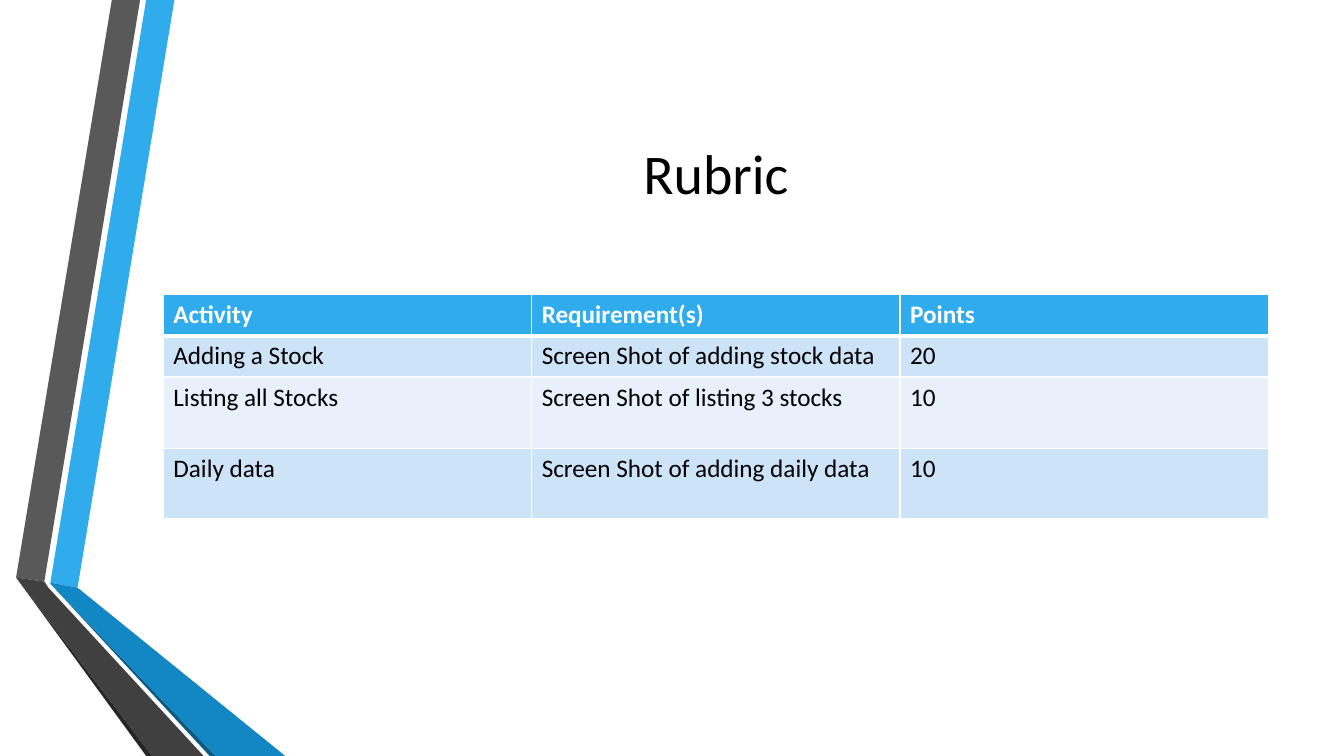
from lxml import etree
from pptx import Presentation
from pptx.dml.color import RGBColor
from pptx.enum.text import MSO_ANCHOR, PP_ALIGN
from pptx.oxml.ns import qn
from pptx.util import Inches, Pt

MIDDLE = MSO_ANCHOR.MIDDLE
LEFT, CENTER = PP_ALIGN.LEFT, PP_ALIGN.CENTER
TITLE_ONLY = 5

TITLE = "Rubric"
RUBRIC = [
    ("Activity", "Requirement(s)", "Points"),
    ("Adding a Stock", "Screen Shot of adding stock data", "20"),
    ("Listing all Stocks", "Screen Shot of listing 3 stocks", "10"),
    ("Daily data", "Screen Shot of adding daily data", "10"),
]
ROW_HEIGHTS = (0.41, 0.41, 0.71, 0.7)

THEME = {
    "font": "Calibri",
    "title_size": 40,
    "table_size": 18,
    "text": "000000",
    "header_text": "FFFFFF",
    "header_fill": "30ACEC",
    "bands": ("CDE3F8", "E8F1FB"),
    "border": "FFFFFF",
    "blue": "30ACEC",
    "blue_fold": "1287C3",
    "blue_edge": "0C5A82",
    "gray": "595959",
    "gray_fold": "404040",
    "gray_edge": "262626",
}

# Ribbon outlines in inches, from back to front
RIBBONS = [
    ("blue", [(0.5, 5.78), (0.77, 5.83), (1.73, 0), (1.45, 0)]),
    ("gray", [(1.39, 0), (1.11, 0), (0.16, 5.73), (0.44, 5.77)]),
    ("gray_edge", [(0.16, 5.73), (1.45, 7.5), (1.51, 7.5)]),
    ("blue_edge", [(0.5, 5.79), (2.08, 7.5), (2.14, 7.5)]),
    ("blue_fold", [(0.5, 5.79), (2.14, 7.5), (2.83, 7.5), (0.77, 5.83), (0.5, 5.78)]),
    ("gray_fold", [(2.02, 7.5), (0.48, 5.83), (0.44, 5.77), (0.16, 5.73), (1.51, 7.5)]),
]

CONTENT_LEFT, CONTENT_WIDTH = 1.62, 10.96
TITLE_TOP, TITLE_HEIGHT = 0.75, 1.92
TABLE_TOP = 2.92


def write_text(frame, text, *, size, color, bold=False, align=LEFT):
    para = frame.paragraphs[0]
    para.alignment = align
    span = para.add_run()
    span.text = text
    span.font.name = THEME["font"]
    span.font.size = Pt(size)
    span.font.bold = bold
    span.font.color.rgb = RGBColor.from_string(color)


def draw_ribbon(page, points, color):
    corners = [(Inches(x), Inches(y)) for x, y in points]
    builder = page.shapes.build_freeform(*corners[0], scale=1.0)
    builder.add_line_segments(corners[1:], close=True)
    ribbon = builder.convert_to_shape()
    ribbon.shadow.inherit = False
    ribbon.fill.solid()
    ribbon.fill.fore_color.rgb = RGBColor.from_string(color)
    ribbon.line.fill.background()


def set_borders(cell, top, bottom):
    """Draw all four cell borders; top and bottom are widths in points."""
    properties = cell._tc.get_or_add_tcPr()
    for side, width in (("L", 1), ("R", 1), ("T", top), ("B", bottom)):
        line = etree.SubElement(properties, qn(f"a:ln{side}"), w=str(Pt(width)))
        fill = etree.SubElement(line, qn("a:solidFill"))
        etree.SubElement(fill, qn("a:srgbClr"), val=THEME["border"])


def add_title(page):
    title = page.shapes.title
    title.left, title.top = Inches(CONTENT_LEFT), Inches(TITLE_TOP)
    title.width, title.height = Inches(CONTENT_WIDTH), Inches(TITLE_HEIGHT)
    title.text_frame.vertical_anchor = MIDDLE
    write_text(title.text_frame, TITLE, size=THEME["title_size"],
               color=THEME["text"], align=CENTER)


def add_rubric(page):
    columns = len(RUBRIC[0])
    table = page.shapes.add_table(
        len(RUBRIC), columns, Inches(CONTENT_LEFT), Inches(TABLE_TOP),
        Inches(CONTENT_WIDTH), Inches(sum(ROW_HEIGHTS))).table
    for column in table.columns:
        column.width = Inches(CONTENT_WIDTH / columns)
    for index, (row, height, texts) in enumerate(zip(table.rows, ROW_HEIGHTS, RUBRIC)):
        row.height = Inches(height)
        header = index == 0
        fill = THEME["header_fill"] if header else THEME["bands"][(index - 1) % 2]
        for cell, text in zip(row.cells, texts):
            set_borders(cell, top=3 if index == 1 else 1, bottom=3 if header else 1)
            cell.fill.solid()
            cell.fill.fore_color.rgb = RGBColor.from_string(fill)
            write_text(cell.text_frame, text, size=THEME["table_size"], bold=header,
                       color=THEME["header_text" if header else "text"])


def main():
    deck = Presentation()
    deck.slide_width, deck.slide_height = Inches(13.33), Inches(7.5)
    page = deck.slides.add_slide(deck.slide_layouts[TITLE_ONLY])
    for color, points in RIBBONS:
        draw_ribbon(page, points, THEME[color])
    add_title(page)
    add_rubric(page)
    deck.save("out.pptx")


if __name__ == "__main__":
    main()
